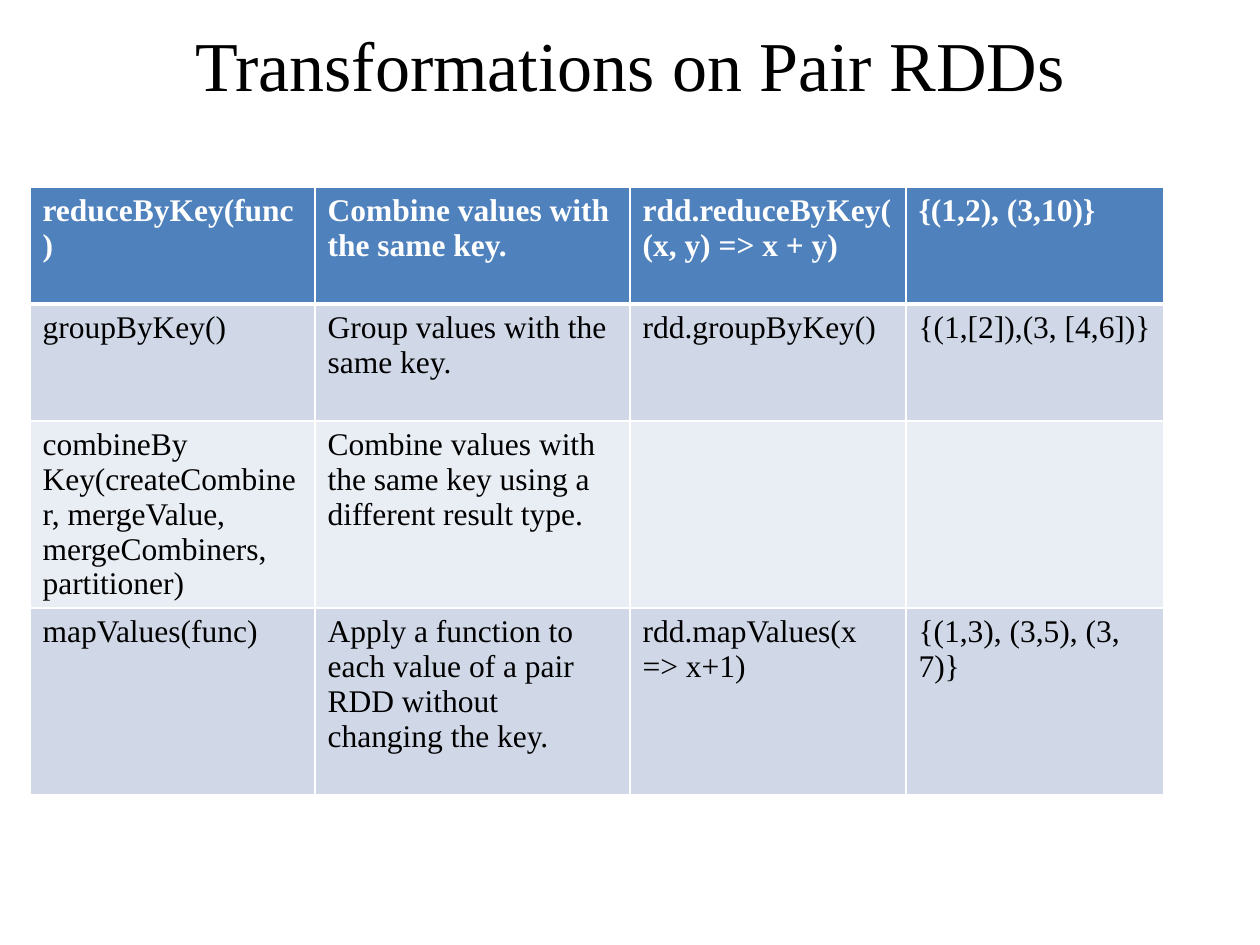
from lxml import etree
from pptx import Presentation
from pptx import util as u
from pptx.dml.color import RGBColor
from pptx.enum import text
from pptx.oxml.ns import qn

PX = 914400 / 126  # EMU per px
FONT = "Times New Roman"


def px(length):
    return u.Emu(round(length * PX))


def paint(color_format, hex_color):
    color_format.rgb = RGBColor.from_string(hex_color)


prs = Presentation()
prs.slide_width, prs.slide_height = px(1260), px(945)
slide = prs.slides.add_slide(prs.slide_layouts[5])

# Title
title = slide.shapes.title
title.left, title.top, title.width, title.height = px(63), px(0), px(1134), px(128)
title.text_frame.text = "Transformations on Pair RDDs"
title.text_frame.vertical_anchor = text.MSO_ANCHOR.MIDDLE
heading = title.text_frame.paragraphs[0]
heading.alignment = text.PP_ALIGN.CENTER
heading.font.name, heading.font.size = FONT, u.Pt(40)
paint(heading.font.color, "000000")

# Transformations: name, purpose, example, result
transformations = [
    ["reduceByKey(func)", "Combine values with\nthe same key.",
     "rdd.reduceByKey(\n(x, y) => x + y)", "{(1,2), (3,10)}"],
    ["groupByKey()", "Group values with the\nsame key.",
     "rdd.groupByKey()", "{(1,[2]),(3, [4,6])}"],
    ["combineBy\nKey(createCombiner, mergeValue,\nmergeCombiners,\npartitioner)",
     "Combine values with\nthe same key using a\ndifferent result type.", "", ""],
    ["mapValues(func)",
     "Apply a function to\neach value of a pair\nRDD without\nchanging the key.",
     "rdd.mapValues(x => x+1)", "{(1,3), (3,5), (3, 7)}"],
]
col_widths = [285, 315, 276, 258]
row_heights = [117, 117, 187, 187]
row_fills = ["4F81BD", "D0D8E8", "E9EDF4", "D0D8E8"]

table = slide.shapes.add_table(
    len(row_heights), len(col_widths), px(30), px(187),
    px(sum(col_widths)), px(sum(row_heights))).table
for column, width in zip(table.columns, col_widths):
    column.width = px(width)
for row, height in zip(table.rows, row_heights):
    row.height = px(height)

for r, entries in enumerate(transformations):
    header = r == 0
    for c, entry in enumerate(entries):
        cell = table.cell(r, c)
        cell.text = entry
        for line in cell.text_frame.paragraphs:
            line.font.name, line.font.size = FONT, u.Pt(18)
            line.font.bold = header
            paint(line.font.color, "FFFFFF" if header else "000000")

        # White borders, thicker under the header; they precede the fill in tcPr
        tc_pr = cell._tc.get_or_add_tcPr()
        for side in ("L", "R", "T", "B"):
            thick = (r, side) in ((0, "B"), (1, "T"))
            border = etree.SubElement(tc_pr, qn(f"a:ln{side}"), w=str(u.Pt(3 if thick else 1)))
            solid = etree.SubElement(border, qn("a:solidFill"))
            etree.SubElement(solid, qn("a:srgbClr"), val="FFFFFF")
        cell.fill.solid()
        paint(cell.fill.fore_color, row_fills[r])

prs.save("out.pptx")
